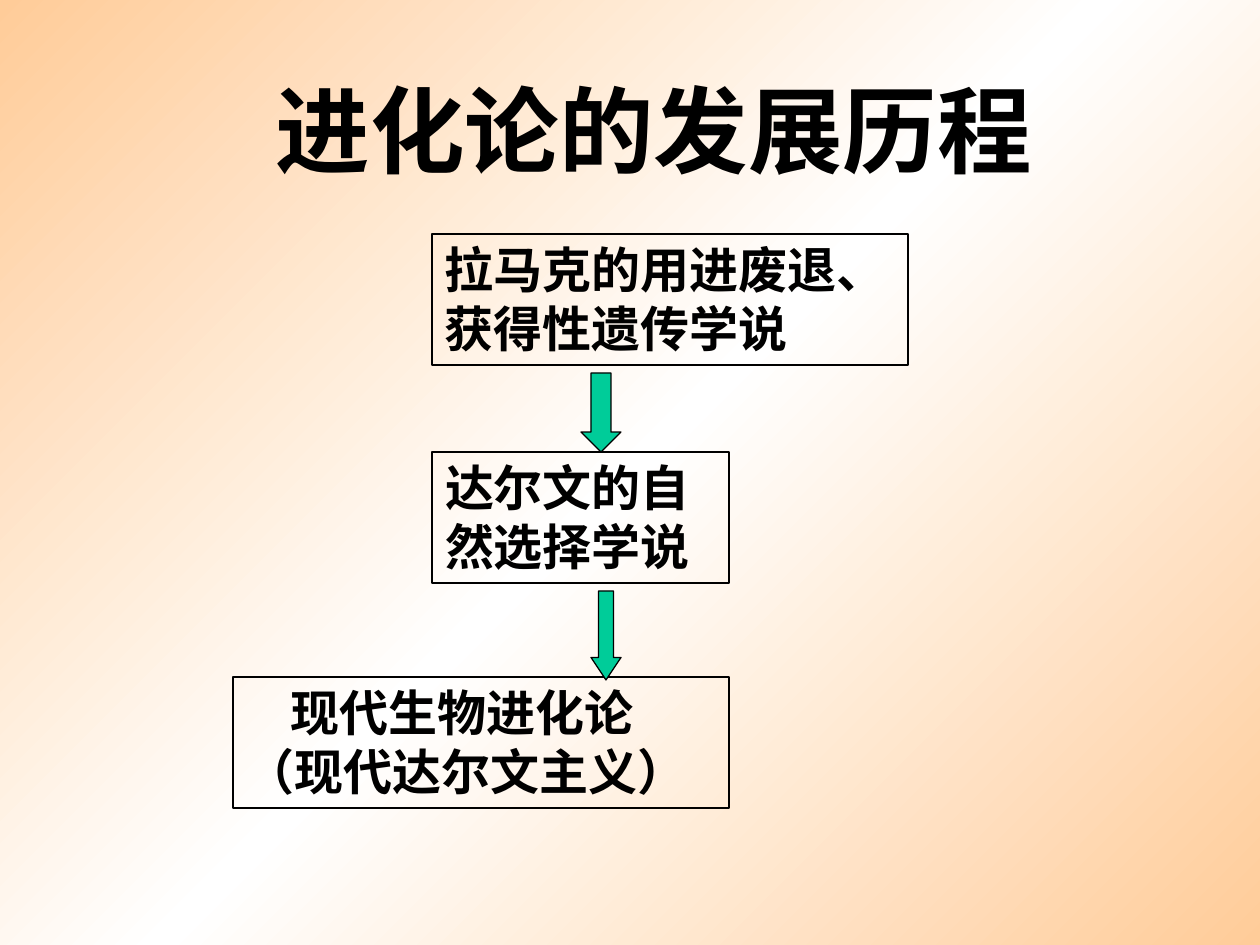
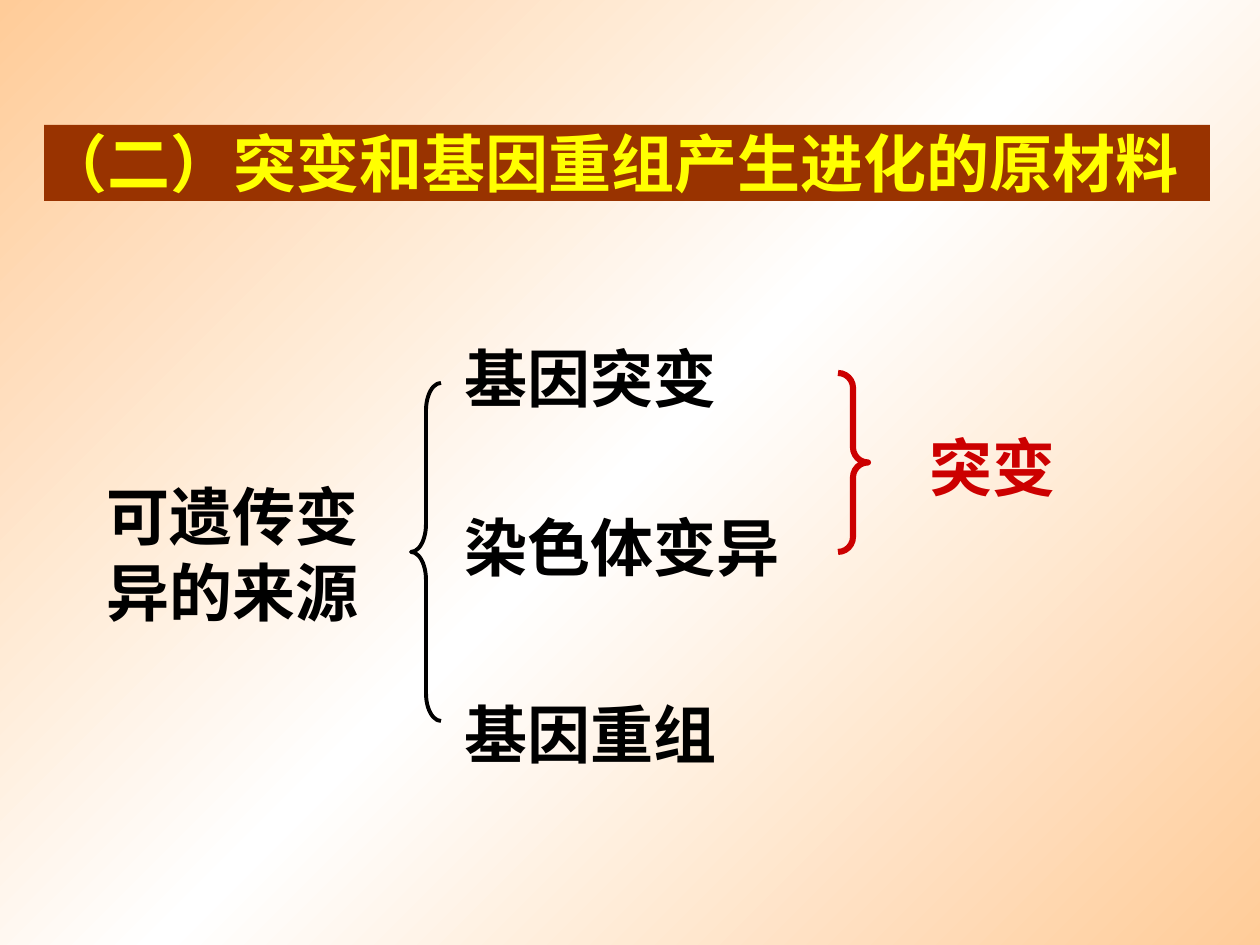
"""Build two slides on the history of evolutionary theory and the sources of variation."""
from lxml.etree import SubElement
from pptx import Presentation
from pptx.dml.color import RGBColor
from pptx.enum.lang import MSO_LANGUAGE_ID
from pptx.enum.shapes import MSO_SHAPE
from pptx.enum.text import MSO_ANCHOR, PP_ALIGN
from pptx.oxml import parse_xml
from pptx.oxml.ns import nsdecls, qn
from pptx.util import Emu, Pt

PX = 914400 / 126
BLACK, RED, GREEN, BROWN, YELLOW = "000000", "CC0000", "00CC99", "993300", "FFFF00"
BACKGROUND_STOPS = [(0, "FFCC99"), (50, "FFFFFF"), (100, "FFCC99")]
THEORY_FONT, SOURCE_FONT, BANNER_FONT = "Noto Sans CJK JP", "Arial", "Noto Sans CJK SC"
INSET_X, INSET_Y = 13, 6
LINE_HEIGHT = 1.2

TITLE = ("进化论的发展历程", (263, 66, 781, 126))
THEORY_HEIGHT = 131
THEORIES = [
    (["拉马克的用进废退、获得性遗传学说"], 432, 234, 476, 0),
    (["达尔文的自然选择学说"], 432, 452, 297, 0),
    (["现代生物进化论", "（现代达尔文主义）"], 233, 677, 496, 45),
]
THEORY_ARROWS = [
    ((581, 373, 40, 79), (0.5, 0.5)),
    ((591, 591, 30, 89), (0.5, 0.75)),
]

BANNER = ("（二）突变和基因重组产生进化的原材料", (44, 125, 1166, 76))
VARIATION = ("可遗传变异的来源", (94, 472, 287, 164))
SOURCE_LEFT, LABEL_HEIGHT = 452, 88
SOURCES = [("基因突变", 334, 277), ("染色体变异", 503, 340), ("基因重组", 690, 277)]
MUTATION = ("突变", (917, 423, 151, LABEL_HEIGHT))
BRACES = [
    (MSO_SHAPE.LEFT_BRACE, (411, 383, 30, 338), 0.92, BLACK, 2.25),
    (MSO_SHAPE.RIGHT_BRACE, (838, 373, 30, 179), 0.5, RED, 3.5),
]


def px(length):
    return Emu(round(length * PX))


def color(value):
    return RGBColor.from_string(value)


def add_background_slide(presentation):
    slide = presentation.slides.add_slide(presentation.slide_layouts[6])
    stops = "".join(
        f'<a:gs pos="{position * 1000}"><a:srgbClr val="{value}"/></a:gs>'
        for position, value in BACKGROUND_STOPS
    )
    background = parse_xml(
        f'<p:bg {nsdecls("p", "a")}><p:bgPr><a:gradFill rotWithShape="1">'
        f'<a:gsLst>{stops}</a:gsLst><a:lin ang="2700000" scaled="0"/></a:gradFill>'
        '<a:effectLst/></p:bgPr></p:bg>'
    )
    slide.element.cSld.insert(0, background)
    return slide


def add_preset(slide, kind, box, fill=None, line=None, width=0.75):
    shape = slide.shapes.add_shape(kind, *map(px, box))
    shape.shadow.inherit = False
    if fill:
        shape.fill.solid()
        shape.fill.fore_color.rgb = color(fill)
    else:
        shape.fill.background()
    if line:
        shape.line.color.rgb = color(line)
        shape.line.width = Pt(width)
    else:
        shape.line.fill.background()
    return shape


def write(shape, lines, size, font, ink=BLACK, wrap=True, inset=(INSET_X, INSET_Y), first_indent=0):
    frame = shape.text_frame
    frame.word_wrap = wrap
    frame.vertical_anchor = MSO_ANCHOR.TOP
    frame.margin_left = px(inset[0])
    frame.margin_right = px(inset[0]) if wrap else 0
    frame.margin_top = px(inset[1])
    frame.margin_bottom = 0
    for index, text in enumerate(lines):
        paragraph = frame.paragraphs[0] if index == 0 else frame.add_paragraph()
        paragraph.alignment = PP_ALIGN.LEFT
        paragraph.line_spacing = Pt(size * LINE_HEIGHT)
        if index == 0 and first_indent:
            paragraph._p.get_or_add_pPr().set("indent", str(px(first_indent)))
        run = paragraph.add_run()
        run.text = text
        run.font.size = Pt(size)
        run.font.bold = True
        run.font.name = font
        run.font.language_id = MSO_LANGUAGE_ID.SIMPLIFIED_CHINESE
        run.font.color.rgb = color(ink)
        east_asian = SubElement(run._r.get_or_add_rPr(), qn("a:ea"))
        east_asian.set("typeface", BANNER_FONT if font == SOURCE_FONT else font)


def add_label(slide, text, box, size, font, ink=BLACK, wrap=False):
    write(slide.shapes.add_textbox(*map(px, box)), [text], size, font, ink, wrap)


def build_theories(presentation):
    slide = add_background_slide(presentation)
    add_label(slide, *TITLE, 54, THEORY_FONT)
    for lines, left, top, width, first_indent in THEORIES:
        box = (left, top, width, THEORY_HEIGHT)
        theory = add_preset(slide, MSO_SHAPE.RECTANGLE, box, line=BLACK)
        write(theory, lines, 28, THEORY_FONT, first_indent=first_indent)
    for box, proportions in THEORY_ARROWS:
        arrow = add_preset(slide, MSO_SHAPE.DOWN_ARROW, box, GREEN, BLACK)
        for index, proportion in enumerate(proportions):
            arrow.adjustments[index] = proportion


def build_sources(presentation):
    slide = add_background_slide(presentation)
    add_label(slide, *VARIATION, 36, SOURCE_FONT, wrap=True)
    for text, top, width in SOURCES:
        add_label(slide, text, (SOURCE_LEFT, top, width, LABEL_HEIGHT), 36, SOURCE_FONT)
    for kind, box, curve, ink, width in BRACES:
        brace = add_preset(slide, kind, box, line=ink, width=width)
        brace.adjustments[0] = curve
    add_label(slide, *MUTATION, 36, SOURCE_FONT, RED)
    text, box = BANNER
    banner = add_preset(slide, MSO_SHAPE.RECTANGLE, box, BROWN)
    write(banner, [text], 36, BANNER_FONT, YELLOW, inset=(0, 0))


def main():
    presentation = Presentation()
    presentation.slide_width, presentation.slide_height = px(1260), px(945)
    build_theories(presentation)
    build_sources(presentation)
    presentation.save("out.pptx")


if __name__ == "__main__":
    main()
